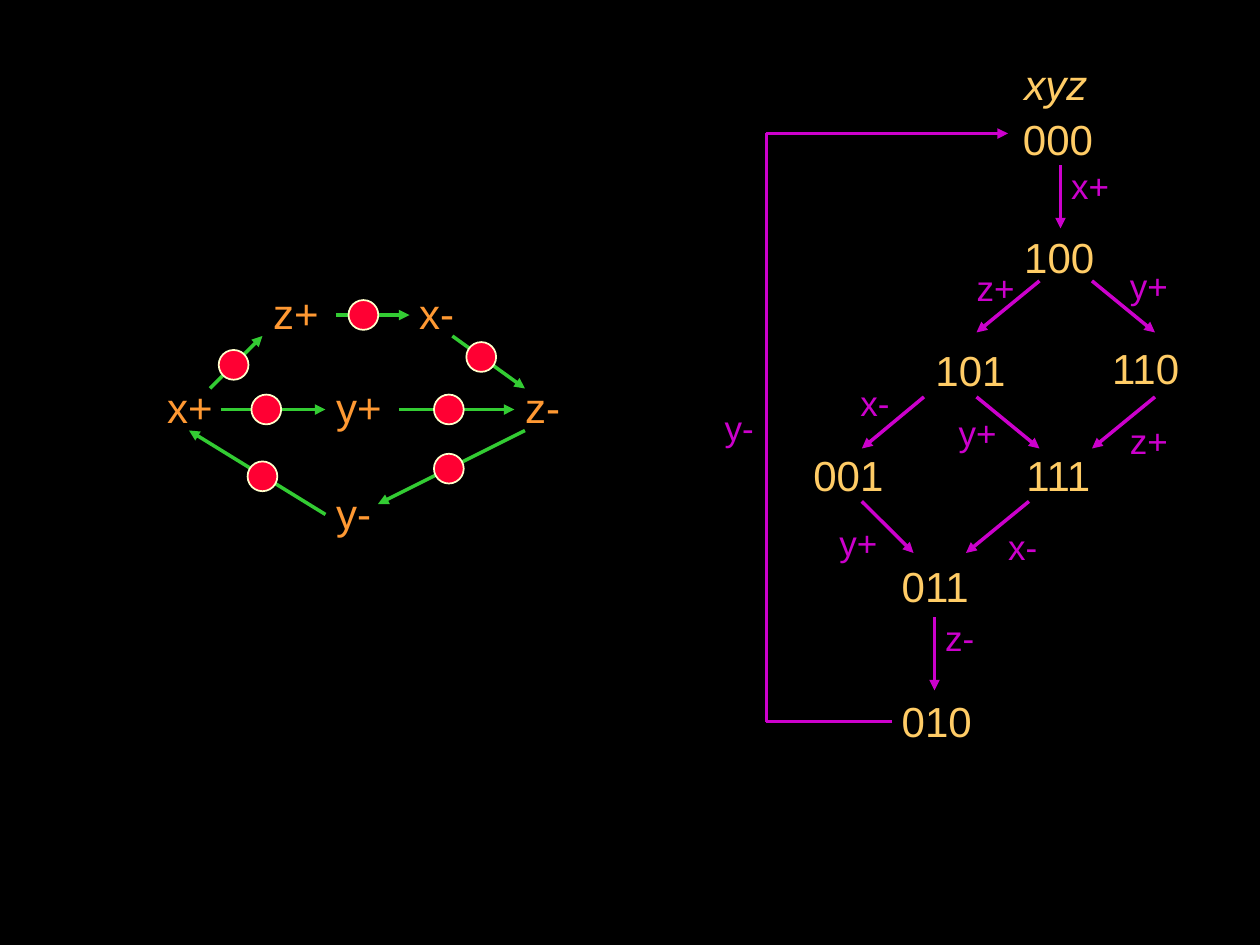
from pptx import Presentation
from pptx import util as u
from pptx.dml import color
from pptx.enum import shapes, text
from pptx.oxml import ns
from lxml import etree

Pt = u.Pt
WIDTHS = {"+": 0.58, "-": 0.33, "x": 0.5, "y": 0.5, "z": 0.5, "0": 0.56, "1": 0.56}


def rgb(code):
    return color.RGBColor.from_string(code)


def label(slide, box, words, place, size, ink, italic=False):
    wide = 15 + size * sum(WIDTHS[c] for c in words)
    x, y = place
    item = slide.shapes.add_textbox(Pt(box[0] + x), Pt(box[1] + y), Pt(wide), Pt(size * 1.2 + 7.2))
    frame = item.text_frame
    frame.word_wrap = False
    frame.auto_size = text.MSO_AUTO_SIZE.SHAPE_TO_FIT_TEXT
    run = frame.paragraphs[0].add_run()
    run.text = words
    style = {"name": "Arial", "size": Pt(size), "italic": italic}
    for key, value in style.items():
        setattr(run.font, key, value)
    run.font.color.rgb = rgb(ink)


def line(slide, box, ends, ink, head=True):
    x1, y1, x2, y2 = ends
    left, top = box
    item = slide.shapes.add_connector(
        shapes.MSO_CONNECTOR.STRAIGHT,
        Pt(left + x1), Pt(top + y1), Pt(left + x2), Pt(top + y2))
    item.line.width = Pt(2)
    item.line.color.rgb = rgb(ink)
    if head:
        tip = etree.SubElement(item.line._get_or_add_ln(), ns.qn("a:tailEnd"))
        tip.set("type", "triangle")
    etree.SubElement(item._element.spPr, ns.qn("a:effectLst"))


def dot(slide, box, mid):
    side = 17
    x, y = mid
    item = slide.shapes.add_shape(
        shapes.MSO_SHAPE.OVAL, Pt(box[0] + x - side / 2), Pt(box[1] + y - side / 2),
        Pt(side), Pt(side))
    item.shadow.inherit = False
    item.fill.solid()
    item.fill.fore_color.rgb = rgb("FF0033")
    item.line.color.rgb = rgb("FFFFCC")
    item.line.width = Pt(1)


def net(slide, box):
    names = [
        ("x+", (4.5, 58.5)), ("x-", (148.5, 4.5)), ("y+", (101, 58.5)),
        ("y-", (101, 119)), ("z+", (65, 4.5)), ("z-", (209, 58.5)),
    ]
    arcs = [
        (36, 66, 66, 36), (42, 78, 102, 78), (108, 24, 150, 24),
        (174.5, 36, 216, 66), (144, 78, 210, 78),
        (216, 90, 132, 132), (102, 138, 24, 90),
    ]
    dots = [
        (68.2, 78), (49.5, 52.5), (123.7, 24), (191, 48),
        (172.5, 78), (172.5, 111.8), (66, 116.2),
    ]
    for words, place in names:
        label(slide, box, words, place, 24, "FF9933")
    for ends in arcs:
        line(slide, box, ends, "33CC33")
    for mid in dots:
        dot(slide, box, mid)


def graph(slide, box):
    gold, pink = "FFCC66", "CC00CC"
    states = [
        ("000", (173.5, 33.3)), ("100", (174.2, 101)), ("101", (123.5, 165.5)),
        ("110", (224.5, 164)), ("111", (175.5, 225.5)), ("001", (53.7, 225.5)),
        ("011", (104.2, 289)), ("010", (104.2, 366)),
    ]
    events = [
        ("x+", (201, 62.5)), ("y+", (234.5, 119.5)), ("z+", (147, 120.5)),
        ("z+", (234.5, 208)), ("y+", (136.7, 203.8)), ("x-", (80.5, 186.5)),
        ("x-", (165, 268.5)), ("y+", (68.5, 266.5)), ("z-", (129, 320.5)),
        ("y-", (3, 201)),
    ]
    steps = [
        (202, 66.5, 202, 102.5), (190, 132.5, 154, 162), (220, 132.5, 256, 162),
        (256, 198.8, 220, 228.3), (154, 198.8, 190, 228.3), (124, 198.8, 88.5, 228.3),
        (184, 258.5, 148, 288), (88.5, 258.5, 118, 288), (130, 324.7, 130, 366.5),
    ]
    loop = [(106, 384.3), (34, 384.3), (34, 180), (34, 48.3), (172, 48.3)]
    label(slide, box, "xyz", (174.2, 2.2), 24, gold, True)
    for words, place in states:
        label(slide, box, words, place, 24, gold)
    for ends in steps:
        line(slide, box, ends, pink)
    for start, end in zip(loop, loop[1:]):
        line(slide, box, start + end, pink, end == loop[-1])
    for words, place in events:
        label(slide, box, words, place, 20, pink)


def main():
    deck = Presentation()
    deck.slide_width, deck.slide_height = Pt(720), Pt(540)
    slide = deck.slides.add_slide(deck.slide_layouts[6])
    back = slide.background.fill
    back.solid()
    back.fore_color.rgb = rgb("000000")
    net(slide, (84, 156))
    graph(slide, (404, 28))
    deck.save("out.pptx")


if __name__ == "__main__":
    main()
